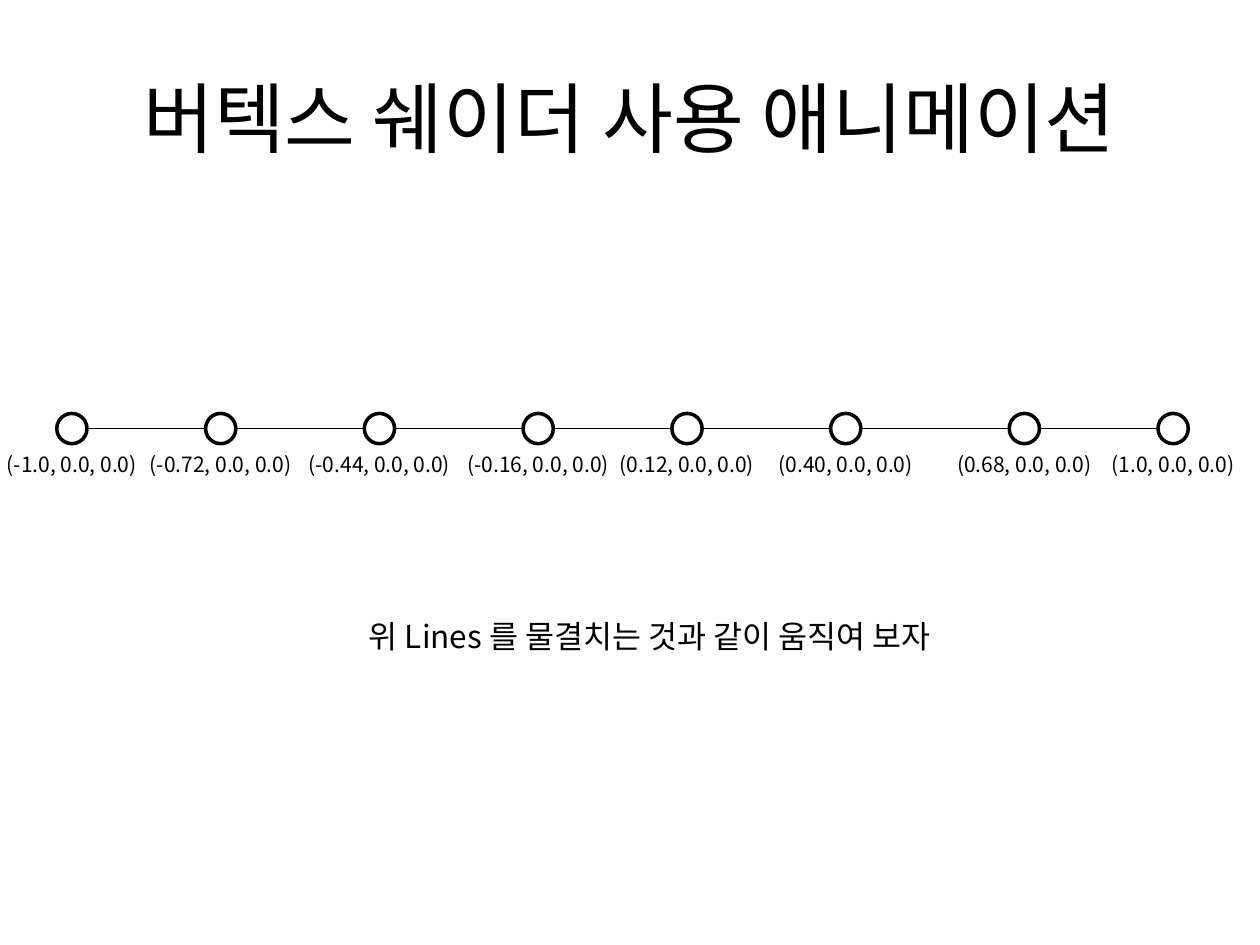
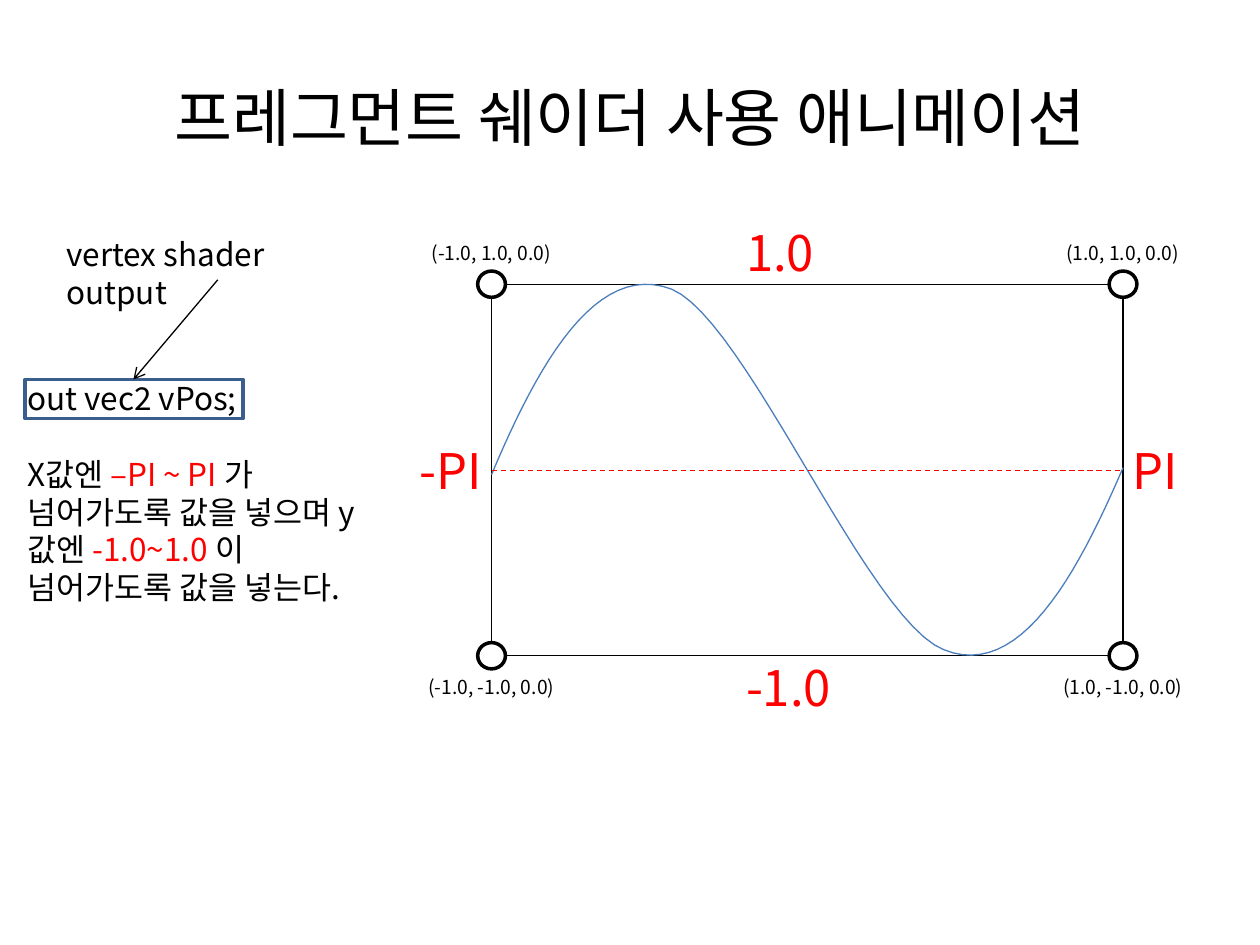
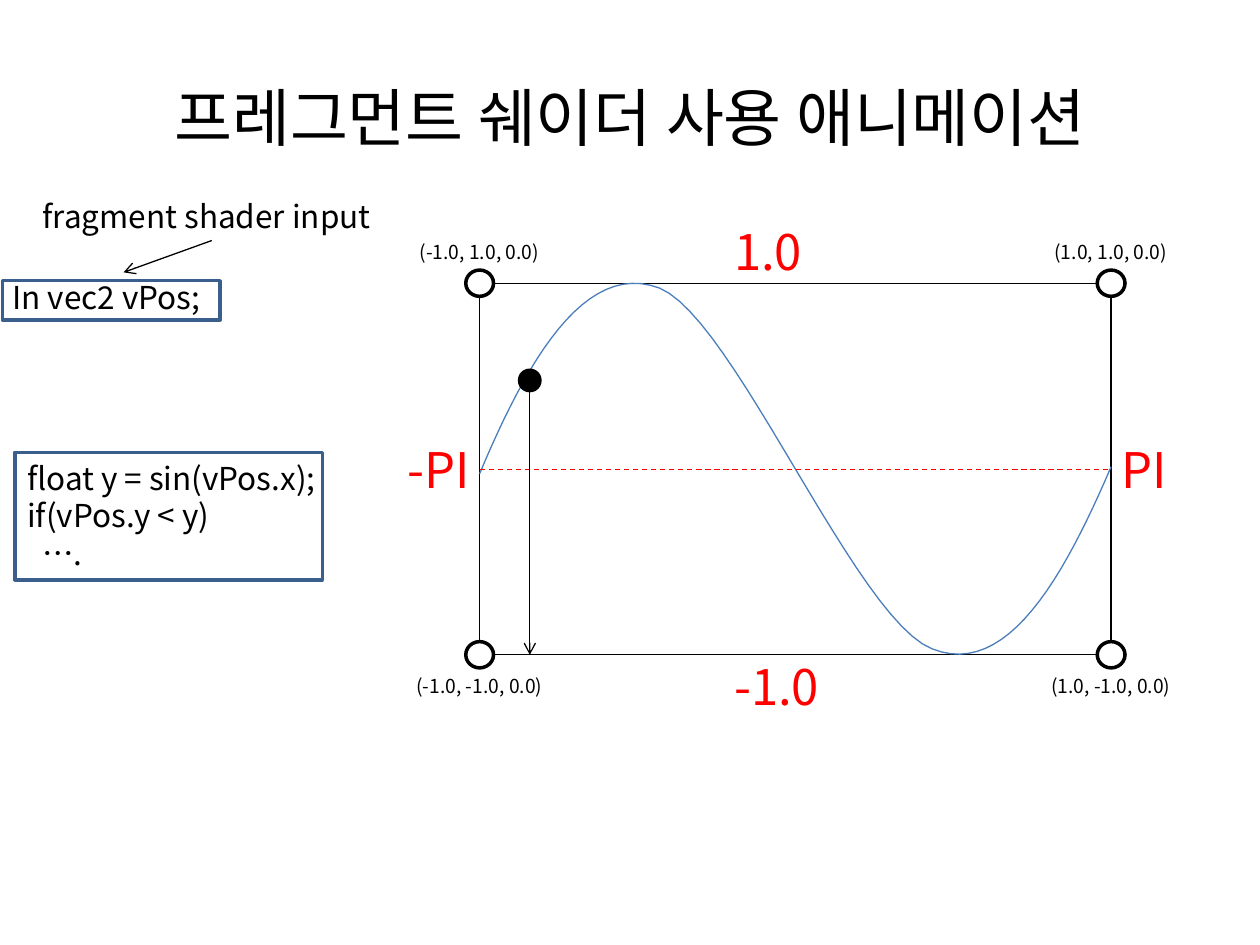
from lxml import etree
from pptx import Presentation
from pptx.dml.color import RGBColor
from pptx.enum.dml import MSO_LINE
from pptx.enum.shapes import MSO_CONNECTOR, MSO_SHAPE
from pptx.enum.text import MSO_ANCHOR, PP_ALIGN
from pptx.oxml.ns import qn
from pptx.util import Cm, Pt

STRAIGHT = MSO_CONNECTOR.STRAIGHT
OVAL, RECT = MSO_SHAPE.OVAL, MSO_SHAPE.RECTANGLE
LEFT, CENTER = PP_ALIGN.LEFT, PP_ALIGN.CENTER
MIDDLE = MSO_ANCHOR.MIDDLE
DASH = MSO_LINE.DASH

FONT = "Noto Sans CJK KR"
COLORS = {"black": "000000", "white": "FFFFFF", "red": "FF0000",
          "curve": "4B7EBC", "frame": "3A5F8C"}
TITLE_ONLY = 5
FRAGMENT_TITLE = "프레그먼트 쉐이더 사용 애니메이션"

# Cubic Bezier chain of the sine wave, in cm from the graph's top left
WAVE = [(0, 3.84), (0.94, 1.6), (2.11, -0.48), (3.63, 0.1), (5.13, 0.71),
        (7.59, 6.78), (9.12, 7.37), (10.64, 7.98), (11.79, 5.89), (12.73, 3.7)]
WAVE_STEPS = 24


def rgb(name):
    """Return the named palette colour."""
    return RGBColor.from_string(COLORS[name])


def format_run(r, size, color="black"):
    """Set size, colour and both Latin and East Asian fonts of a run."""
    r.font.size = Pt(size)
    r.font.color.rgb = rgb(color)
    r.font.name = FONT
    ea = etree.SubElement(r.font._element, qn("a:ea"))
    ea.set("typeface", FONT)


def add_text(shapes, box, paragraphs, size, color="black", align=LEFT):
    """Add a text box; a paragraph is a string or a list of (text, colour)."""
    tb = shapes.add_textbox(*map(Cm, box))
    tf = tb.text_frame
    tf.word_wrap = True
    for i, content in enumerate(paragraphs):
        p = tf.add_paragraph() if i else tf.paragraphs[0]
        p.alignment = align
        p.line_spacing = Pt(size * 1.2)
        runs = [(content, color)] if isinstance(content, str) else content
        for text, run_color in runs:
            r = p.add_run()
            r.text = text
            format_run(r, size, run_color)
    return tf


def add_line(shapes, start, end, color="black", dashed=False, arrow=False):
    """Add a thin straight line, optionally dashed or with an arrowhead."""
    line = shapes.add_connector(STRAIGHT, *map(Cm, start + end))
    line.line.color.rgb = rgb(color)
    line.line.width = Pt(0.75)
    if dashed:
        line.line.dash_style = DASH
    if arrow:
        etree.SubElement(line.line._get_or_add_ln(), qn("a:tailEnd"), type="arrow")
    etree.SubElement(line._element.spPr, qn("a:effectLst"))


def add_outlined(shapes, kind, box, line, fill=None):
    """Add a preset shape with a 2 pt outline."""
    sp = shapes.add_shape(kind, *map(Cm, box))
    sp.shadow.inherit = False
    sp.line.color.rgb = rgb(line)
    sp.line.width = Pt(2)
    if fill:
        sp.fill.solid()
        sp.fill.fore_color.rgb = rgb(fill)
    else:
        sp.fill.background()


def add_node(shapes, cx, cy, w, h, fill="white"):
    """Add a vertex circle around a centre."""
    add_outlined(shapes, OVAL, (cx - w / 2, cy - h / 2, w, h), "black", fill)


def add_titled_slide(prs, title, size):
    """Add a slide with its title placeholder filled."""
    s = prs.slides.add_slide(prs.slide_layouts[TITLE_ONLY])
    sp = s.shapes.title
    sp.left, sp.top, sp.width, sp.height = map(Cm, (1.27, 0.76, 22.86, 3.18))
    tf = sp.text_frame
    tf.text = title
    tf.vertical_anchor = MIDDLE
    p = tf.paragraphs[0]
    p.alignment = CENTER
    format_run(p.runs[0], size)
    return s


def add_vertex_row(shapes, y, vertices):
    """Draw a row of labelled vertices joined by lines."""
    d = 0.61
    centers = [cx for cx, _ in vertices]
    for cx in centers:
        add_node(shapes, cx, y, d, d)
    for a, b in zip(centers, centers[1:]):
        add_line(shapes, (a + d / 2, y), (b - d / 2, y))
    for cx, value in vertices:
        add_text(shapes, (cx - 1.92, y + 0.33, 3.84, 0.76),
                 [f"({value}, 0.0, 0.0)"], 12, align=CENTER)


def add_wave(shapes, left, top):
    """Draw the sine wave as a finely sampled open outline."""
    points = []
    for i in range(0, len(WAVE) - 1, 3):
        a, b, c, d = WAVE[i:i + 4]
        for step in range(WAVE_STEPS + 1):
            t = step / WAVE_STEPS
            x, y = ((1 - t) ** 3 * a[k] + 3 * (1 - t) ** 2 * t * b[k]
                    + 3 * (1 - t) * t ** 2 * c[k] + t ** 3 * d[k] for k in (0, 1))
            points.append((Cm(left + x), Cm(top + y)))
    builder = shapes.build_freeform(*points[0])
    builder.add_line_segments(points[1:], close=False)
    sp = builder.convert_to_shape()
    sp.shadow.inherit = False
    sp.fill.background()
    sp.line.color.rgb = rgb("curve")
    sp.line.width = Pt(0.75)


def add_graph(s, left, top, w=12.73, h=7.49):
    """Draw the vertex rectangle, its wave and the axis labels."""
    right, bottom = left + w, top + h
    node_w, node_h = 0.56, 0.53
    dx, dy = node_w / 2, node_h / 2
    shapes = s.shapes.add_group_shape().shapes
    for y in (top, bottom):
        for x in (left, right):
            add_node(shapes, x, y, node_w, node_h)
    for x in (left, right):
        add_line(shapes, (x, top + dy), (x, bottom - dy))
    for y in (top, bottom):
        add_line(shapes, (left + dx, y), (right - dx, y))
    for label_y, y_value in ((top - 1, "1.0"), (bottom + 0.27, "-1.0")):
        for x, x_value in ((left, "-1.0"), (right, "1.0")):
            add_text(shapes, (x - 1.77, label_y, 3.53, 0.74),
                     [f"({x_value}, {y_value}, 0.0)"], 11, align=CENTER)
    add_wave(shapes, left, top)

    add_line(s.shapes, (left, top + 3.75), (right - 0.05, top + 3.75), "red", dashed=True)
    for text, x, y in (("-PI", left - 1.7, top + 3.02), ("PI", right - 0.05, top + 3.02),
                       ("1.0", left + 4.88, top - 1.37), ("-1.0", left + 4.88, bottom - 0.08)):
        add_text(s.shapes, (x, y, 2.9, 1.45), [text], 28, "red")


def add_caption(shapes, box, text, start, end):
    """Add a caption with an arrow to what it names."""
    add_text(shapes, box, [text], 18)
    add_line(shapes, start, end, arrow=True)


def vertex_slide(prs):
    """Slide on animation with the vertex shader."""
    s = add_titled_slide(prs, "버텍스 쉐이더 사용 애니메이션", 44)
    add_vertex_row(s.shapes, 8.64, [
        (1.45, "-1.0"), (4.45, "-0.72"), (7.65, "-0.44"), (10.85, "-0.16"),
        (13.85, "0.12"), (17.05, "0.40"), (20.65, "0.68"), (23.65, "1.0")])
    add_text(s.shapes, (3.1, 12.32, 19.99, 1.02),
             ["위 Lines 를 물결치는 것과 같이 움직여 보자"], 18, align=CENTER)


def fragment_output_slide(prs):
    """Slide on what the vertex shader hands over."""
    s = add_titled_slide(prs, FRAGMENT_TITLE, 36)
    add_graph(s, 9.91, 5.73)
    tf = add_text(s.shapes, (0.3, 7.52, 7.49, 4.88), [
        "out vec2 vPos;",
        [("X값엔 ", "black"), ("–PI ~ PI ", "red"),
         ("가 넘어가도록 값을 넣으며 y값엔 ", "black"), ("-1.0~1.0 ", "red"),
         ("이 넘어가도록 값을 넣는다.", "black")]], 18)
    tf.paragraphs[1].space_before = Pt(21.6)
    add_outlined(s.shapes, RECT, (0.51, 7.65, 4.39, 0.79), "frame")
    add_caption(s.shapes, (1.09, 4.62, 6.5, 1.02), "vertex shader output",
                (4.39, 5.64), (2.69, 7.65))


def fragment_input_slide(prs):
    """Slide on how the fragment shader uses its input."""
    s = add_titled_slide(prs, FRAGMENT_TITLE, 36)
    top, height = 5.71, 7.49
    add_graph(s, 9.67, top, h=height)
    add_node(s.shapes, 10.68, 7.67, 0.41, 0.41, "black")
    add_line(s.shapes, (10.68, 7.87), (10.68, top + height), arrow=True)

    add_text(s.shapes, (0, 5.49, 4.98, 1.02), ["In vec2 vPos;"], 18)
    add_outlined(s.shapes, RECT, (0.05, 5.66, 4.39, 0.79), "frame")
    add_caption(s.shapes, (0.61, 3.84, 7.29, 1.02), "fragment shader input",
                (4.27, 4.85), (2.49, 5.49))

    tf = add_text(s.shapes, (0.3, 9.12, 7.19, 2.57),
                  ["float y = sin(vPos.x);", "if(vPos.y < y)", "…."], 18)
    tf.paragraphs[2]._p.get_or_add_pPr().set("marL", str(Cm(0.3)))
    add_outlined(s.shapes, RECT, (0.3, 9.12, 6.2, 2.57), "frame")


prs = Presentation()
prs.slide_width, prs.slide_height = Cm(25.4), Cm(19.05)
vertex_slide(prs)
fragment_output_slide(prs)
fragment_input_slide(prs)
prs.save("out.pptx")
